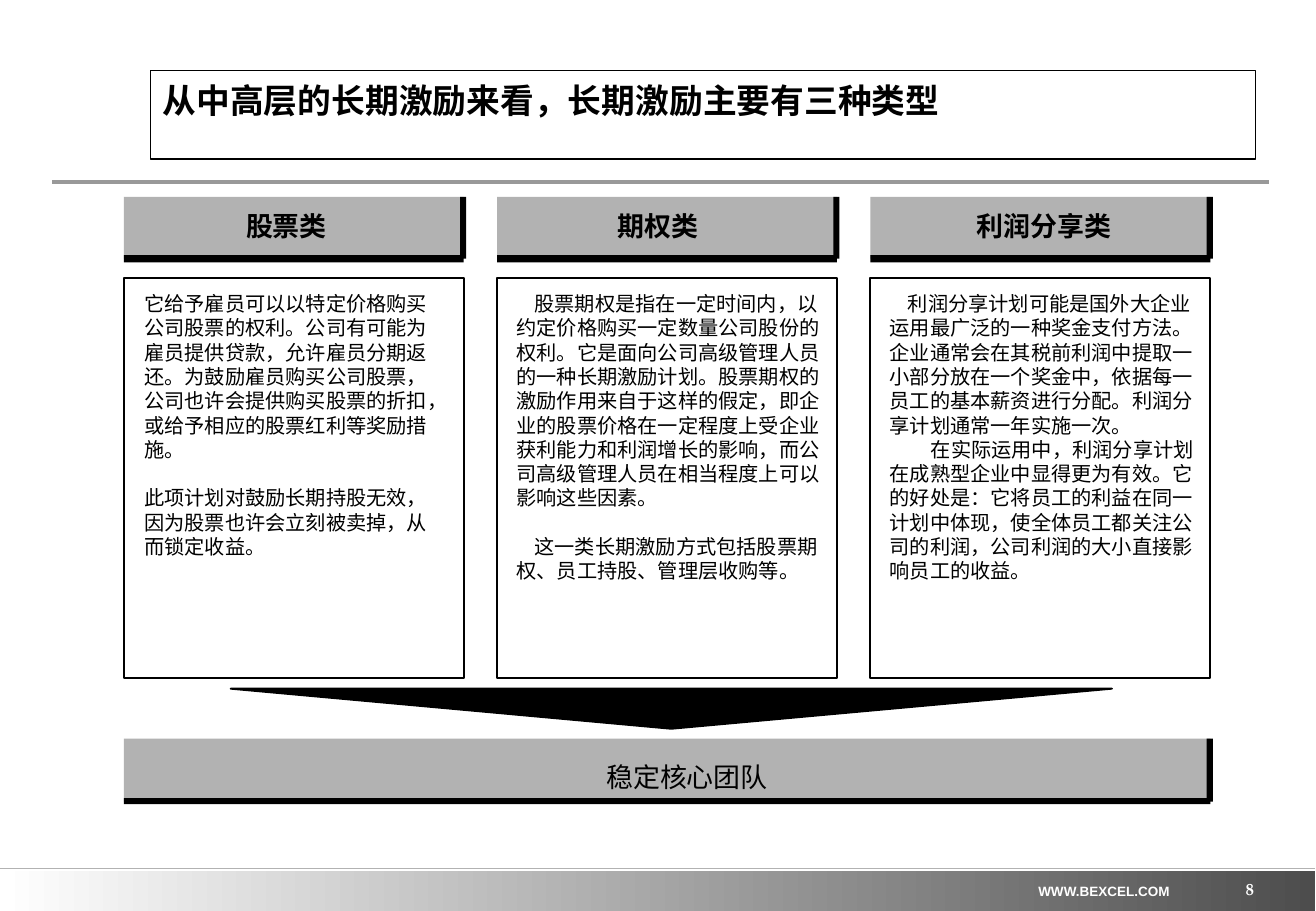
import pptx
import pptx.util
import pptx.dml.color
import pptx.enum.shapes
import pptx.enum.text
import pptx.oxml.ns
import lxml.etree

Inches = pptx.util.Inches
Pt = pptx.util.Pt
RGBColor = pptx.dml.color.RGBColor
Align = pptx.enum.text.PP_ALIGN
Anchor = pptx.enum.text.MSO_ANCHOR
qn = pptx.oxml.ns.qn

BLACK = RGBColor(0x00, 0x00, 0x00)
WHITE = RGBColor(0xFF, 0xFF, 0xFF)
SILVER = RGBColor(0xB2, 0xB2, 0xB2)
GREY = RGBColor(0x99, 0x99, 0x99)
DARK = RGBColor(0x4D, 0x4D, 0x4D)
HAN = "Noto Sans CJK SC"
ROMAN = "Times New Roman"

deck = pptx.Presentation()
deck.slide_width = Inches(10.84)
deck.slide_height = Inches(7.5)
slide = deck.slides.add_slide(deck.slide_layouts[5])
shapes = slide.shapes


def block(left, top, width, height, fill=None, edge=None):
    rect = shapes.add_shape(
        pptx.enum.shapes.MSO_SHAPE.RECTANGLE,
        Inches(left), Inches(top), Inches(width), Inches(height))
    rect.shadow.inherit = False
    if fill is None:
        rect.fill.background()
    else:
        rect.fill.solid()
        rect.fill.fore_color.rgb = fill
    if edge is None:
        rect.line.fill.background()
    else:
        rect.line.color.rgb = BLACK
        rect.line.width = Pt(edge)
    return rect


def write(shape, paras, size, face, color=BLACK, bold=False,
          align=Align.LEFT, pitch=1.2, anchor=Anchor.TOP):
    frame = shape.text_frame
    frame.word_wrap = True
    frame.auto_size = pptx.enum.text.MSO_AUTO_SIZE.NONE
    frame.vertical_anchor = anchor
    for i, (words, indent, gap) in enumerate(paras):
        para = frame.paragraphs[0] if i == 0 else frame.add_paragraph()
        para.text = words
        para.alignment = align
        para.line_spacing = Pt(size * pitch)
        para.space_before = Pt(gap)
        if indent:
            props = para._p.get_or_add_pPr()
            props.set("marL", "0")
            props.set("indent", str(Inches(indent)))
        font = para.font
        font.size = Pt(size)
        font.bold = bold
        font.color.rgb = color
        font.name = face
        lxml.etree.SubElement(font._element, qn("a:ea"), typeface=HAN)


footer = block(0, 7.17, 10.83, 0.33, WHITE)
footer.fill.gradient()
footer.fill.gradient_angle = 0
for stop, color in zip(footer.fill.gradient_stops, (WHITE, DARK)):
    stop.color.rgb = color

for left, right, y, color, width in (
        (0.43, 10.45, 1.5, GREY, 2.5), (0, 10.83, 7.15, SILVER, 1)):
    rule = shapes.add_connector(
        pptx.enum.shapes.MSO_CONNECTOR.STRAIGHT,
        Inches(left), Inches(y), Inches(right), Inches(y))
    rule.line.color.rgb = color
    rule.line.width = Pt(width)
    lxml.etree.SubElement(rule._element.spPr, qn("a:effectLst"))

title = shapes.title
title.left, title.top = Inches(1.24), Inches(0.58)
title.width, title.height = Inches(9.1), Inches(0.73)
title.fill.solid()
title.fill.fore_color.rgb = WHITE
title.line.color.rgb = BLACK
title.line.width = Pt(0.75)
write(title, [("从中高层的长期激励来看，长期激励主要有三种类型", 0, 0)],
      20, HAN, bold=True, pitch=1.3)

columns = (
    ("股票类", 2.36, 0.07, 2.64, (
        ("它给予雇员可以以特定价格购买公司股票的权利。公司有可能为雇员提供贷款，允许雇员分期返还。为鼓励雇员购买公司股票，公司也许会提供购买股票的折扣，或给予相应的股票红利等奖励措施。", 0, 0),
        ("此项计划对鼓励长期持股无效，因为股票也许会立刻被卖掉，从而锁定收益。", 0, 14.4))),
    ("期权类", 5.42, 0.06, 2.71, (
        ("股票期权是指在一定时间内，以约定价格购买一定数量公司股份的权利。它是面向公司高级管理人员的一种长期激励计划。股票期权的激励作用来自于这样的假定，即企业的股票价格在一定程度上受企业获利能力和利润增长的影响，而公司高级管理人员在相当程度上可以影响这些因素。", 0.15, 0),
        ("这一类长期激励方式包括股票期权、员工持股、管理层收购等。", 0.15, 14.4))),
    ("利润分享类", 8.6, 0.06, 2.71, (
        ("利润分享计划可能是国外大企业运用最广泛的一种奖金支付方法。企业通常会在其税前利润中提取一小部分放在一个奖金中，依据每一员工的基本薪资进行分配。利润分享计划通常一年实施一次。", 0.15, 0),
        ("在实际运用中，利润分享计划在成熟型企业中显得更为有效。它的好处是：它将员工的利益在同一计划中体现，使全体员工都关注公司的利润，公司利润的大小直接影响员工的收益。", 0.34, 0))),
)
labels = [("稳定核心团队", 5.66, 6.21, False)]
bars = [(1.02, 6.08, 8.95, 0.52, 0.05)]
for i, (head, middle, inset, width, paras) in enumerate(columns):
    left = 1.02 + 3.075 * i
    bars.append((left, 1.62, 2.8, 0.51, 0.06))
    labels.append((head, middle, 1.68, True))
    block(left, 2.29, 2.8, 3.29, edge=1.13)
    body = shapes.add_textbox(
        Inches(left + inset), Inches(2.35), Inches(width), Inches(2.7))
    write(body, paras, 12, HAN)

for left, top, width, height, lip in bars:
    block(left, top, width, height, SILVER)
    block(left, top + height - 0.03, width, lip, BLACK)
    block(left + width - 0.03, top, 0.05, height, BLACK)

for words, middle, top, bold in labels:
    label = shapes.add_textbox(
        Inches(middle - 1), Inches(top), Inches(2), Inches(0.37))
    write(label, [(words, 0, 0)], 16, ROMAN, bold=bold, align=Align.CENTER)

build = shapes.build_freeform(Inches(5.53), Inches(6))
build.add_line_segments(
    [(Inches(9.16), Inches(5.67)), (Inches(1.9), Inches(5.67))], close=True)
arrow = build.convert_to_shape()
arrow.shadow.inherit = False
arrow.fill.solid()
arrow.fill.fore_color.rgb = BLACK
arrow.line.color.rgb = BLACK
arrow.line.width = Pt(1.13)

site = shapes.add_textbox(Inches(8.35), Inches(7.22), Inches(1.49), Inches(0.24))
write(site, [("WWW.BEXCEL.COM", 0, 0)], 8, "Arial", WHITE, True, Align.CENTER)

page = shapes.add_textbox(Inches(8.07), Inches(7.07), Inches(2.26), Inches(0.33))
frame = page.text_frame
frame.margin_left = frame.margin_right = 0
frame.margin_top = frame.margin_bottom = 0
write(page, [("8", 0, 0)], 10, "TeX Gyre Pagella", WHITE, True,
      Align.RIGHT, anchor=Anchor.BOTTOM)

deck.save("out.pptx")
